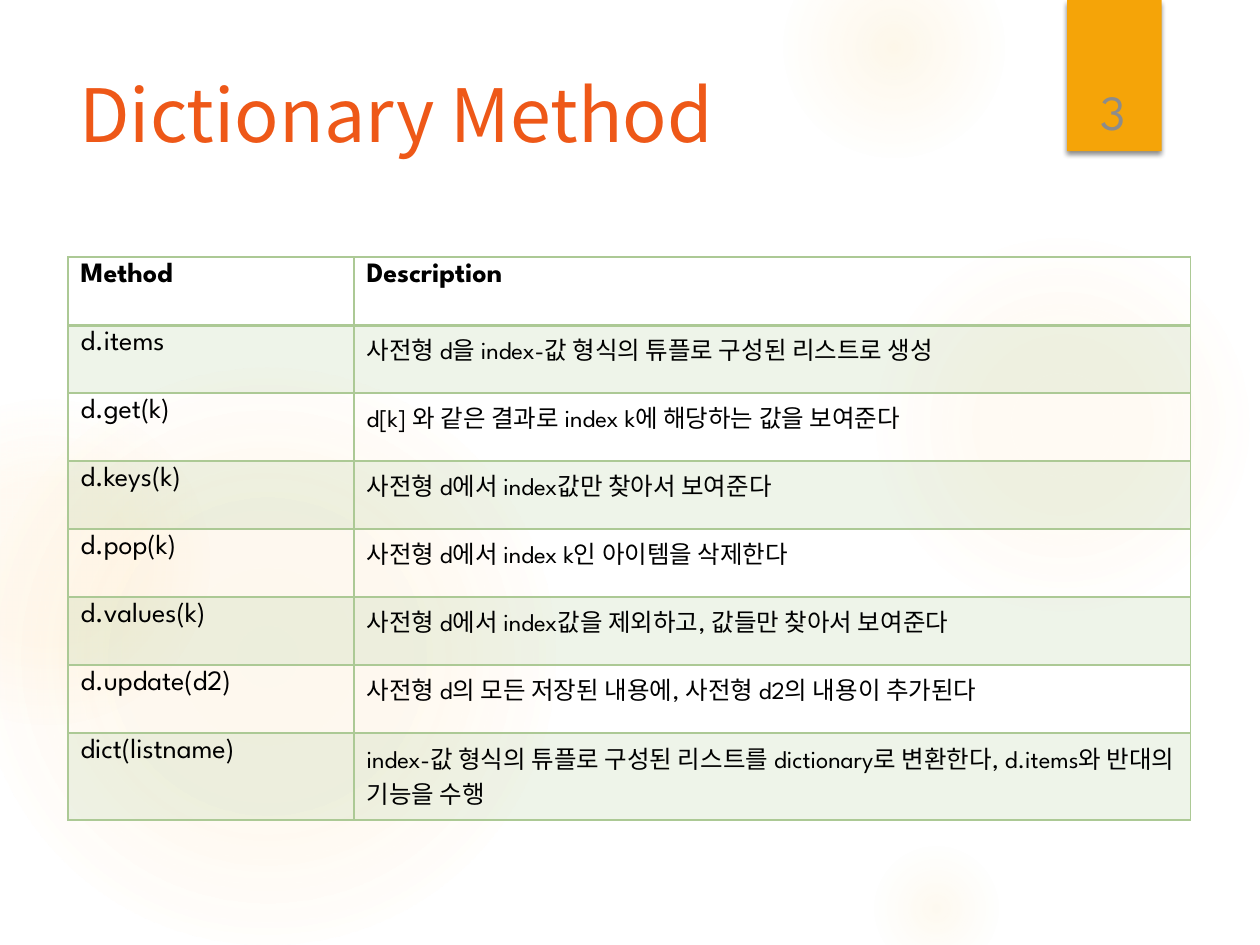
from lxml import etree
from pptx import Presentation
from pptx.dml.color import RGBColor
from pptx.enum.shapes import MSO_SHAPE
from pptx.enum.text import MSO_ANCHOR, PP_ALIGN
from pptx.oxml import parse_xml
from pptx.oxml.ns import nsdecls, qn
from pptx.util import Inches, Pt

OVAL, RECTANGLE = MSO_SHAPE.OVAL, MSO_SHAPE.RECTANGLE
TOP, BOTTOM = MSO_ANCHOR.TOP, MSO_ANCHOR.BOTTOM
LEFT, CENTER = PP_ALIGN.LEFT, PP_ALIGN.CENTER

GLOW = RGBColor(0xFA, 0xC9, 0x6A)
AMBER = RGBColor(0xF5, 0xA4, 0x08)
ORANGE = RGBColor(0xEE, 0x58, 0x18)
GREEN = RGBColor(0xAC, 0xC9, 0x95)
GRAY = RGBColor(0x8C, 0x8C, 0x8C)
BLACK = RGBColor(0, 0, 0)

LATIN_FONT = "League Spartan"
KOREAN_FONT = "Noto Sans CJK KR"

# Left, top, diameter, then (position %, opacity %) stops
GLOWS = [
    (6.89, 1.83, 3.08, [(0, 7), (36, 6), (69, 0)]),
    (6.22, -0.5, 1.75, [(0, 14), (36, 7), (73, 0)]),
    (6.89, 6.67, 1.08, [(0, 10), (31, 5), (66, 0)]),
    (-0.17, 2.92, 4.58, [(0, 11), (36, 10), (75, 0)]),
    (-0.92, 3.17, 2.58, [(0, 8), (36, 8), (72, 0)]),
]

COLUMN_WIDTHS = [2.27, 6.64]
ROW_HEIGHT, LAST_ROW_HEIGHT = 0.54, 0.69
METHODS = [
    ("Method", "Description"),
    ("d.items", "사전형 d을 index-값 형식의 튜플로 구성된 리스트로 생성"),
    ("d.get(k)", "d[k] 와 같은 결과로 index k에 해당하는 값을 보여준다"),
    ("d.keys(k)", "사전형 d에서 index값만 찾아서 보여준다"),
    ("d.pop(k)", "사전형 d에서 index k인 아이템을 삭제한다"),
    ("d.values(k)", "사전형 d에서 index값을 제외하고, 값들만 찾아서 보여준다"),
    ("d.update(d2)", "사전형 d의 모든 저장된 내용에, 사전형 d2의 내용이 추가된다"),
    ("dict(listname)", "index-값 형식의 튜플로 구성된 리스트를 dictionary로 변환한다, "
                       "d.items와 반대의 기능을 수행"),
]


def write_text(frame, text, size, color, latin=LATIN_FONT, bold=False, align=LEFT):
    paragraph = frame.paragraphs[0]
    paragraph.alignment = align
    run = paragraph.add_run()
    run.text = text
    for attribute, value in {"size": Pt(size), "name": latin, "bold": bold}.items():
        setattr(run.font, attribute, value)
    run.font.color.rgb = color
    east_asian = etree.SubElement(run.font._element, qn("a:ea"))
    east_asian.set("typeface", KOREAN_FONT)


def add_plain_shape(slide, kind, left, top, width, height, color):
    shape = slide.shapes.add_shape(
        kind, Inches(left), Inches(top), Inches(width), Inches(height))
    shape.shadow.inherit = False
    shape.fill.solid()
    shape.fill.fore_color.rgb = color
    shape.line.fill.background()
    return shape


def add_glow(slide, left, top, diameter, stops):
    glow = add_plain_shape(slide, OVAL, left, top, diameter, diameter, GLOW)
    stop_xml = "".join(
        f'<a:gs pos="{position * 1000}"><a:srgbClr val="{GLOW}">'
        f'<a:alpha val="{opacity * 1000}"/></a:srgbClr></a:gs>'
        for position, opacity in stops)
    gradient = parse_xml(
        f'<a:gradFill {nsdecls("a")}><a:gsLst>{stop_xml}</a:gsLst>'
        '<a:path path="circle"><a:fillToRect l="50000" t="50000" r="50000" b="50000"/>'
        '</a:path></a:gradFill>')
    properties = glow._element.spPr
    properties.replace(properties.find(qn("a:solidFill")), gradient)


def add_page_tab(slide):
    tab = add_plain_shape(slide, RECTANGLE, 8.47, 0, 0.75, 1.2, AMBER)
    tab._element.spPr.find(qn("a:effectLst")).append(parse_xml(
        f'<a:outerShdw {nsdecls("a")} blurRad="{Pt(3)}" dist="{Pt(2)}" dir="5400000" '
        'rotWithShape="0"><a:srgbClr val="000000"><a:alpha val="45000"/></a:srgbClr>'
        '</a:outerShdw>'))


def add_title(slide, text):
    title = slide.shapes.title
    for attribute, value in {"left": 0.53, "top": 0.5, "width": 7.72, "height": 1.53}.items():
        setattr(title, attribute, Inches(value))
    title.text_frame.vertical_anchor = TOP
    write_text(title.text_frame, text, 42, ORANGE, latin=KOREAN_FONT)


def add_page_number(slide, number):
    box = slide.shapes.add_textbox(Inches(8.49), Inches(0.32), Inches(0.69), Inches(0.84))
    box.text_frame.word_wrap = True
    box.text_frame.vertical_anchor = BOTTOM
    write_text(box.text_frame, number, 28, GRAY, align=CENTER)


def format_cell(cell, is_header, is_shaded):
    properties = cell._tc.get_or_add_tcPr()
    for side in "LRTB":
        width = Pt(2 if is_header and side == "B" else 1)
        properties.append(parse_xml(
            f'<a:ln{side} {nsdecls("a")} w="{width}"><a:solidFill>'
            f'<a:srgbClr val="{GREEN}"/></a:solidFill></a:ln{side}>'))
    if is_shaded:
        cell.fill.solid()
        cell.fill.fore_color.rgb = GREEN
        color = properties.find(qn("a:solidFill")).find(qn("a:srgbClr"))
        etree.SubElement(color, qn("a:alpha")).set("val", "20000")
    else:
        cell.fill.background()


def add_method_table(slide):
    heights = [ROW_HEIGHT] * (len(METHODS) - 1) + [LAST_ROW_HEIGHT]
    table = slide.shapes.add_table(
        len(METHODS), len(COLUMN_WIDTHS), Inches(0.54), Inches(2.04),
        Inches(sum(COLUMN_WIDTHS)), Inches(sum(heights))).table
    table.first_row = table.horz_banding = False
    for column, width in zip(table.columns, COLUMN_WIDTHS):
        column.width = Inches(width)
    for row_index, (entries, height) in enumerate(zip(METHODS, heights)):
        table.rows[row_index].height = Inches(height)
        is_header = row_index == 0
        for column_index, entry in enumerate(entries):
            cell = table.cell(row_index, column_index)
            format_cell(cell, is_header, row_index % 2 == 1)
            size = 16 if is_header or column_index == 0 else 14
            write_text(cell.text_frame, entry, size, BLACK, bold=is_header)


def main():
    presentation = Presentation()
    presentation.slide_width = Inches(10)
    presentation.slide_height = Inches(7.5)
    slide = presentation.slides.add_slide(presentation.slide_layouts[5])

    # Background decoration
    for glow in GLOWS:
        add_glow(slide, *glow)
    add_page_tab(slide)

    # Content
    add_title(slide, "Dictionary Method")
    add_method_table(slide)
    add_page_number(slide, "3")

    presentation.save("out.pptx")


if __name__ == "__main__":
    main()
